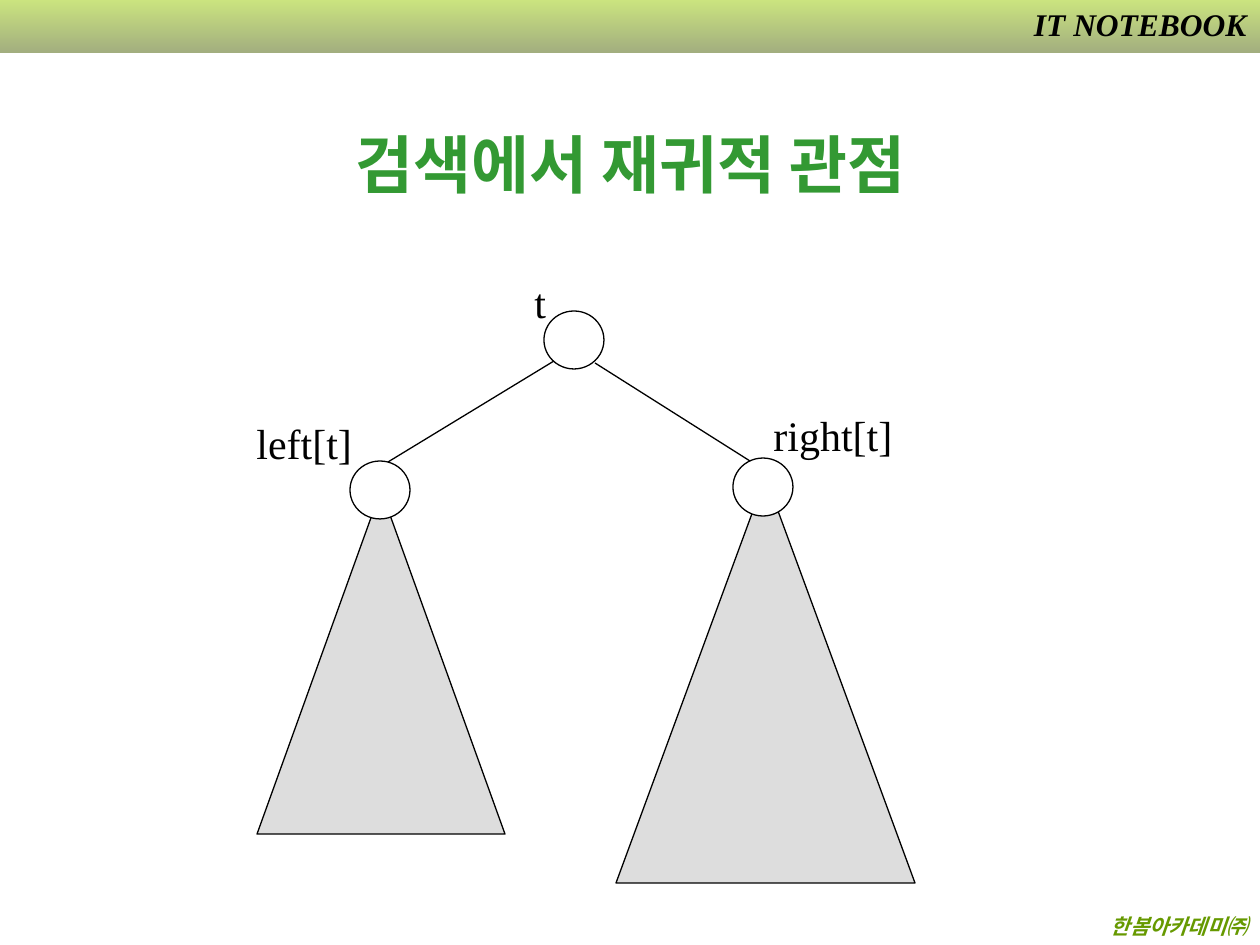
import pptx
import pptx.util
import pptx.dml.color
import pptx.enum.shapes
import pptx.enum.text
import pptx.oxml
import pptx.oxml.ns
from dataclasses import dataclass

SCALE = pptx.util.Inches(1) / 126
Shape = pptx.enum.shapes.MSO_SHAPE
Align = pptx.enum.text.PP_ALIGN
Fit = pptx.enum.text.MSO_AUTO_SIZE
NS = pptx.oxml.ns.nsdecls("a")


@dataclass(frozen=True)
class Theme:
    font: str = "Times New Roman"
    ink: str = "000000"
    paper: str = "FFFFFF"
    cone: str = "DDDDDD"
    title: str = "339933"
    foot: str = "669900"
    bar: tuple = ("99CC00", "475E00")
    big: int = 36
    label: int = 24
    head: int = 18
    small: int = 12
    line: float = 0.75


THEME = Theme()


def emu(*px):
    return [round(n * SCALE) for n in px]


def rgb(code):
    return pptx.dml.color.RGBColor.from_string(code)


def add_text(slide, box, words, size, color, align=Align.LEFT, wrap=True,
             fit=Fit.SHAPE_TO_FIT_TEXT, bold=False, slant=False):
    frame = slide.shapes.add_textbox(*emu(*box)).text_frame
    frame.word_wrap = wrap
    frame.auto_size = fit
    para = frame.paragraphs[0]
    para.alignment = align
    run = para.add_run()
    run.text = words
    font = run.font
    font.name, font.size = THEME.font, pptx.util.Pt(size)
    font.bold, font.italic = bold, slant
    font.color.rgb = rgb(color)
    return frame, run


def add_shape(slide, kind, box, fill=None):
    shape = slide.shapes.add_shape(kind, *emu(*box))
    shape.shadow.inherit = False
    if fill:
        shape.fill.solid()
        shape.fill.fore_color.rgb = rgb(fill)
    else:
        shape.fill.background()
    shape.line.color.rgb = rgb(THEME.ink)
    shape.line.width = pptx.util.Pt(THEME.line)
    return shape


def add_edge(slide, start, end):
    edge = slide.shapes.add_connector(
        pptx.enum.shapes.MSO_CONNECTOR.STRAIGHT, *emu(*start, *end))
    edge.line.color.rgb = rgb(THEME.ink)
    edge.line.width = pptx.util.Pt(THEME.line)
    edge.element.spPr.append(pptx.oxml.parse_xml(f"<a:effectLst {NS}/>"))


def add_node(slide, x, y, fill=None):
    add_shape(slide, Shape.OVAL, (x, y, 60, 58), fill)


def add_label(slide, x, y, wide, words):
    add_text(slide, (x, y, wide, 63), words, THEME.label, THEME.ink, wrap=False)


def add_header(slide, box):
    x, y, w, h = box
    bar = add_shape(slide, Shape.RECTANGLE, box)
    bar.line.fill.background()
    bar.fill.gradient()
    bar.fill.gradient_angle = 270
    for stop, code in zip(bar.fill.gradient_stops, THEME.bar):
        stop.color.rgb = rgb(code)
    for tint in bar.element.spPr.iter(pptx.oxml.ns.qn("a:srgbClr")):
        tint.append(pptx.oxml.parse_xml(f'<a:alpha {NS} val="50000"/>'))
    _, run = add_text(slide, (x + w - 267, y - 1, 266, 50), "IT NOTEBOOK",
                      THEME.head, THEME.ink, Align.RIGHT, bold=True, slant=True)
    glow = pptx.oxml.parse_xml(
        f'<a:effectLst {NS}><a:outerShdw dist="35921" dir="2700000">'
        f'<a:srgbClr val="{THEME.paper}"/></a:outerShdw></a:effectLst>')
    run.font._element.find(pptx.oxml.ns.qn("a:solidFill")).addnext(glow)


def add_footer(slide, box):
    add_text(slide, box, "한봄아카데미㈜", THEME.small, THEME.foot,
             Align.RIGHT, bold=True, slant=True)


def add_title(slide, box):
    frame, _ = add_text(slide, box, "검색에서 재귀적 관점", THEME.big, THEME.title,
                        Align.CENTER, fit=Fit.NONE, bold=True)
    frame.vertical_anchor = pptx.enum.text.MSO_ANCHOR.MIDDLE


def add_branch(slide, box, node, label, wide, words):
    """Draw a subtree as a cone; node and label are offsets from its box."""
    x, y = box[:2]
    add_shape(slide, Shape.ISOSCELES_TRIANGLE, box, THEME.cone)
    add_node(slide, x + node[0], y + node[1], THEME.paper)
    add_label(slide, x + label[0], y + label[1], wide, words)


def add_tree(slide, box):
    x, y, w, h = box
    add_node(slide, x + 300, y + 41)
    add_label(slide, x + 278, y, 36, "t")
    add_branch(slide, (x + 13, y + 220, 248, 344), (93, -29), (-13, -79),
               121, "left[t]")
    add_branch(slide, (x + w - 299, y + h - 406, 299, 406), (117, -19),
               (145, -74), 144, "right[t]")
    add_edge(slide, (x + 310, y + 91), (x + 144, y + 192))
    add_edge(slide, (x + 351, y + 93), (x + 506, y + 191))


def main():
    deck = pptx.Presentation()
    deck.slide_width, deck.slide_height = emu(1260, 945)
    slide = deck.slides.add_slide(deck.slide_layouts[6])
    add_header(slide, (0, 0, 1260, 53))
    add_footer(slide, (8, 907, 1252, 38))
    add_tree(slide, (244, 270, 671, 613))
    add_title(slide, (95, 84, 1071, 158))
    deck.save("out.pptx")


if __name__ == "__main__":
    main()
